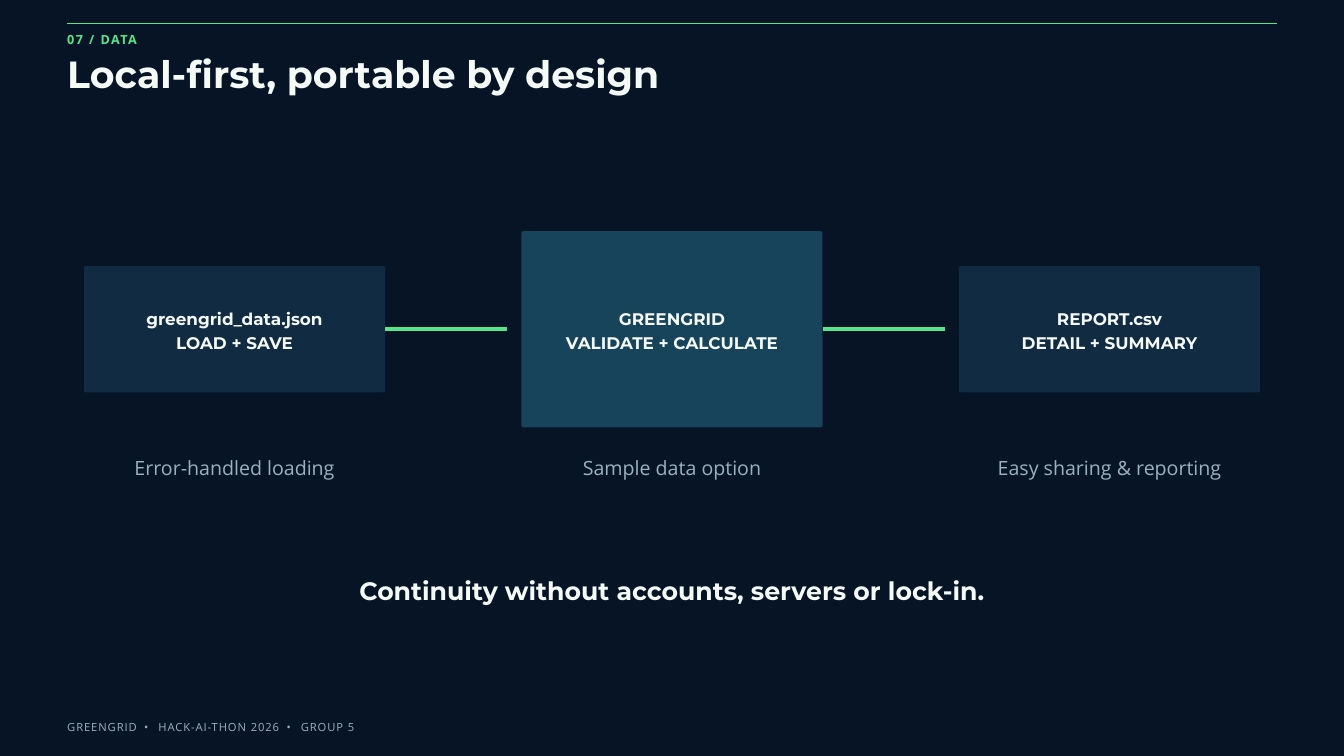
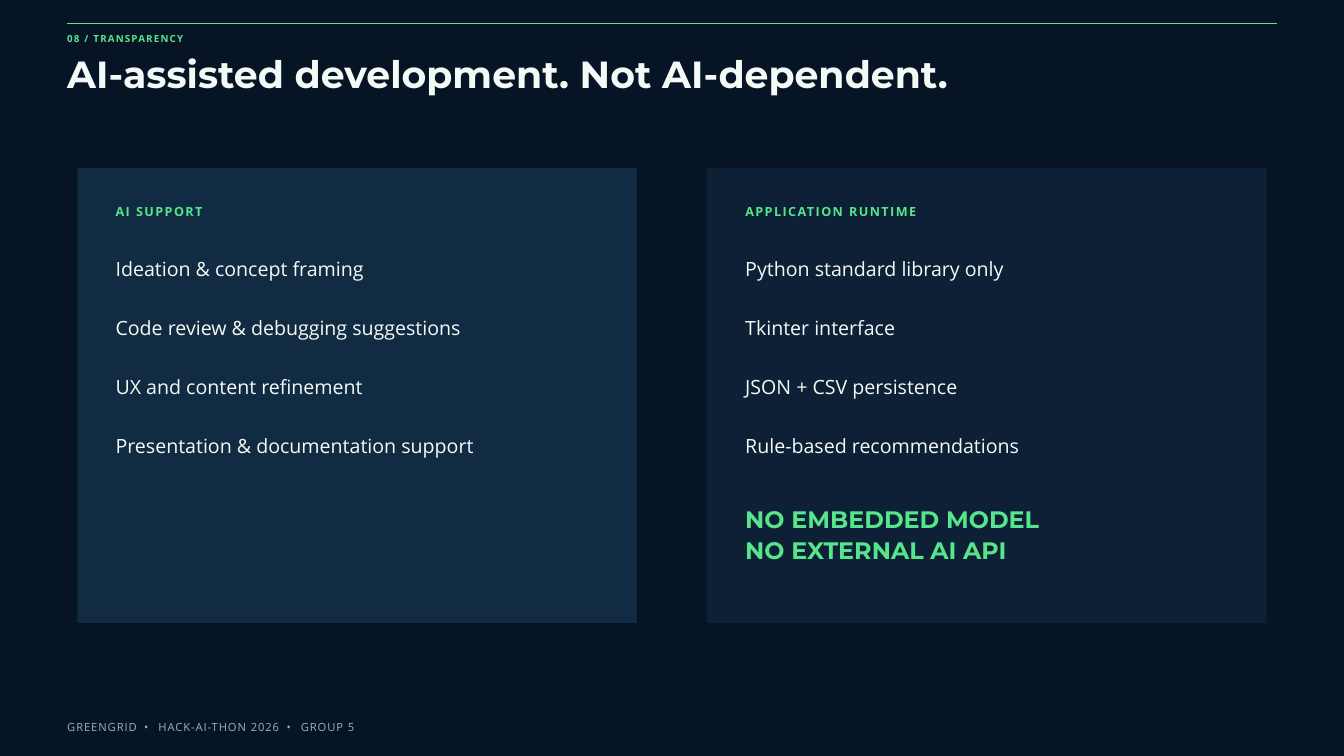
from lxml import etree
from pptx import Presentation
from pptx.dml.color import RGBColor
from pptx.enum.shapes import MSO_CONNECTOR, MSO_SHAPE
from pptx.enum.text import MSO_ANCHOR, MSO_AUTO_SIZE, PP_ALIGN
from pptx.oxml.ns import qn
from pptx.util import Inches, Pt

LEFT, CENTER = PP_ALIGN.LEFT, PP_ALIGN.CENTER
MIDDLE = MSO_ANCHOR.MIDDLE
FIT_SHAPE = MSO_AUTO_SIZE.SHAPE_TO_FIT_TEXT
STRAIGHT = MSO_CONNECTOR.STRAIGHT
RECTANGLE, ROUNDED = MSO_SHAPE.RECTANGLE, MSO_SHAPE.ROUNDED_RECTANGLE

COLORS = {
    "background": "071426",
    "accent": "55E68B",
    "text": "F4FBF7",
    "muted": "9BB1BD",
    "panel": "112B43",
    "panel_dark": "0D2036",
    "highlight": "17445A",
}
HEADING, BODY = "Montserrat", "Open Sans"
LABEL = dict(size=13.5, color="accent", bold=True, spacing=1.6, line=18.9)
SMALL_LABEL = dict(size=10.5, color="accent", bold=True, spacing=1.3, line=14.7)

FOOTER = ["GREENGRID", "HACK-AI-THON 2026", "GROUP 5"]

# Box lines, caption, fill, height
DATA_FLOW = [
    (["greengrid_data.json", "LOAD + SAVE"], "Error-handled loading", "panel", 1.88),
    (["GREENGRID", "VALIDATE + CALCULATE"], "Sample data option", "highlight", 2.92),
    (["REPORT.csv", "DETAIL + SUMMARY"], "Easy sharing & reporting", "panel", 1.88),
]
DATA_MESSAGE = "Continuity without accounts, servers or lock-in."

# Heading, items, closing lines, fill
PANELS = [
    ("AI SUPPORT",
     ["Ideation & concept framing", "Code review & debugging suggestions",
      "UX and content refinement", "Presentation & documentation support"],
     [], "panel"),
    ("APPLICATION RUNTIME",
     ["Python standard library only", "Tkinter interface",
      "JSON + CSV persistence", "Rule-based recommendations"],
     ["NO EMBEDDED MODEL", "NO EXTERNAL AI API"], "panel_dark"),
]


def rgb(name):
    return RGBColor.from_string(COLORS[name])


def write_text(shape, text, size, line, font=BODY, color="text", bold=False,
               spacing=0, align=LEFT, gap=0, inset=0):
    """Write a string, or a list of paragraphs; a paragraph may be a list of (text, spacing) runs."""
    frame = shape.text_frame
    frame.word_wrap = True
    frame.margin_left = frame.margin_right = Inches(inset)
    frame.margin_top = frame.margin_bottom = Inches(inset)
    paragraphs = [text] if isinstance(text, str) else text
    for index, content in enumerate(paragraphs):
        paragraph = frame.add_paragraph() if index else frame.paragraphs[0]
        paragraph.alignment = align
        paragraph.line_spacing = Pt(line)
        if index and gap:
            paragraph.space_before = Pt(gap)
        runs = [(content, spacing)] if isinstance(content, str) else content
        for run_text, run_spacing in runs:
            run = paragraph.add_run()
            run.text = run_text
            run.font.name = font
            run.font.size = Pt(size)
            run.font.bold = bold
            run.font.color.rgb = rgb(color)
            if run_spacing:
                run.font._element.set("spc", str(round(run_spacing * 100)))


def add_text(slide, text, left, top, width, height, **style):
    box = slide.shapes.add_textbox(Inches(left), Inches(top), Inches(width), Inches(height))
    write_text(box, text, **style)
    box.text_frame.auto_size = FIT_SHAPE


def add_block(slide, kind, left, top, width, height, fill):
    shape = slide.shapes.add_shape(
        kind, Inches(left), Inches(top), Inches(width), Inches(height))
    shape.shadow.inherit = False
    shape.fill.solid()
    shape.fill.fore_color.rgb = rgb(fill)
    shape.line.fill.background()
    return shape


def add_rule(slide, left, right, y, weight):
    """Draw a horizontal accent line."""
    rule = slide.shapes.add_connector(
        STRAIGHT, Inches(left), Inches(y), Inches(right), Inches(y))
    rule.line.color.rgb = rgb("accent")
    rule.line.width = Pt(weight)
    etree.SubElement(rule._element.spPr, qn("a:effectLst"))


def add_base_slide(presentation, label, title, label_top, label_height, label_style):
    slide = presentation.slides.add_slide(presentation.slide_layouts[6])
    slide.background.fill.solid()
    slide.background.fill.fore_color.rgb = rgb("background")
    add_rule(slide, 1, 19, 0.35, 1.5)
    add_text(slide, label, 1, label_top, 1.88, label_height, **label_style)
    add_text(slide, title, 1, 0.83, 15.62, 0.61,
             size=40.5, line=43.7, font=HEADING, bold=True)
    footer_runs = [(FOOTER[0], 1)]
    for part in FOOTER[1:]:
        footer_runs += [(" • ", 3.75), (part, 1)]
    add_text(slide, [footer_runs], 1, 10.69, 9.38, 0.22,
             size=12, line=16.8, color="muted")
    return slide


def build_data_slide(presentation):
    slide = add_base_slide(presentation, "07 / DATA", "Local-first, portable by design",
                           0.44, 0.25, LABEL)
    first_left, pitch, width, middle = 1.25, 6.51, 4.48, 4.9
    arm, radius = 1.82, 0.03
    for index, (lines, caption, fill, height) in enumerate(DATA_FLOW):
        left = first_left + index * pitch
        box = add_block(slide, ROUNDED, left, middle - height / 2, width, height, fill)
        box.adjustments[0] = radius / height
        box.text_frame.vertical_anchor = MIDDLE
        write_text(box, lines, size=18, line=25.2, font=HEADING, bold=True,
                   align=CENTER, inset=0.06)
        if index < len(DATA_FLOW) - 1:
            add_rule(slide, left + width, left + width + arm, middle, 4.5)
        add_text(slide, caption, left, 6.74, width, 0.37,
                 size=21, line=28.4, color="muted", align=CENTER)
    add_text(slide, DATA_MESSAGE, 3.12, 8.49, 13.75, 0.5,
             size=27, line=37.8, font=HEADING, bold=True, align=CENTER)


def build_transparency_slide(presentation):
    slide = add_base_slide(presentation, "08 / TRANSPARENCY",
                           "AI-assisted development. Not AI-dependent.",
                           0.46, 0.18, SMALL_LABEL)
    first_left, pitch, padding = 1.15, 9.37, 0.57
    for index, (heading, items, closing, fill) in enumerate(PANELS):
        left = first_left + index * pitch
        text_left = left + padding
        add_block(slide, RECTANGLE, left, 2.5, 8.33, 6.77, fill)
        add_text(slide, heading, text_left, 2.99, 7.08, 0.25, **LABEL)
        add_text(slide, items, text_left, 3.74, 6.77, 3.04, size=21, line=31.5, gap=31.5)
        if closing:
            add_text(slide, closing, text_left, 7.47, 6.77, 0.91,
                     size=25.5, line=33.1, font=HEADING, color="accent", bold=True)


def main():
    presentation = Presentation()
    presentation.slide_width = Inches(20)
    presentation.slide_height = Inches(11.25)
    build_data_slide(presentation)
    build_transparency_slide(presentation)
    presentation.save("out.pptx")


if __name__ == "__main__":
    main()
